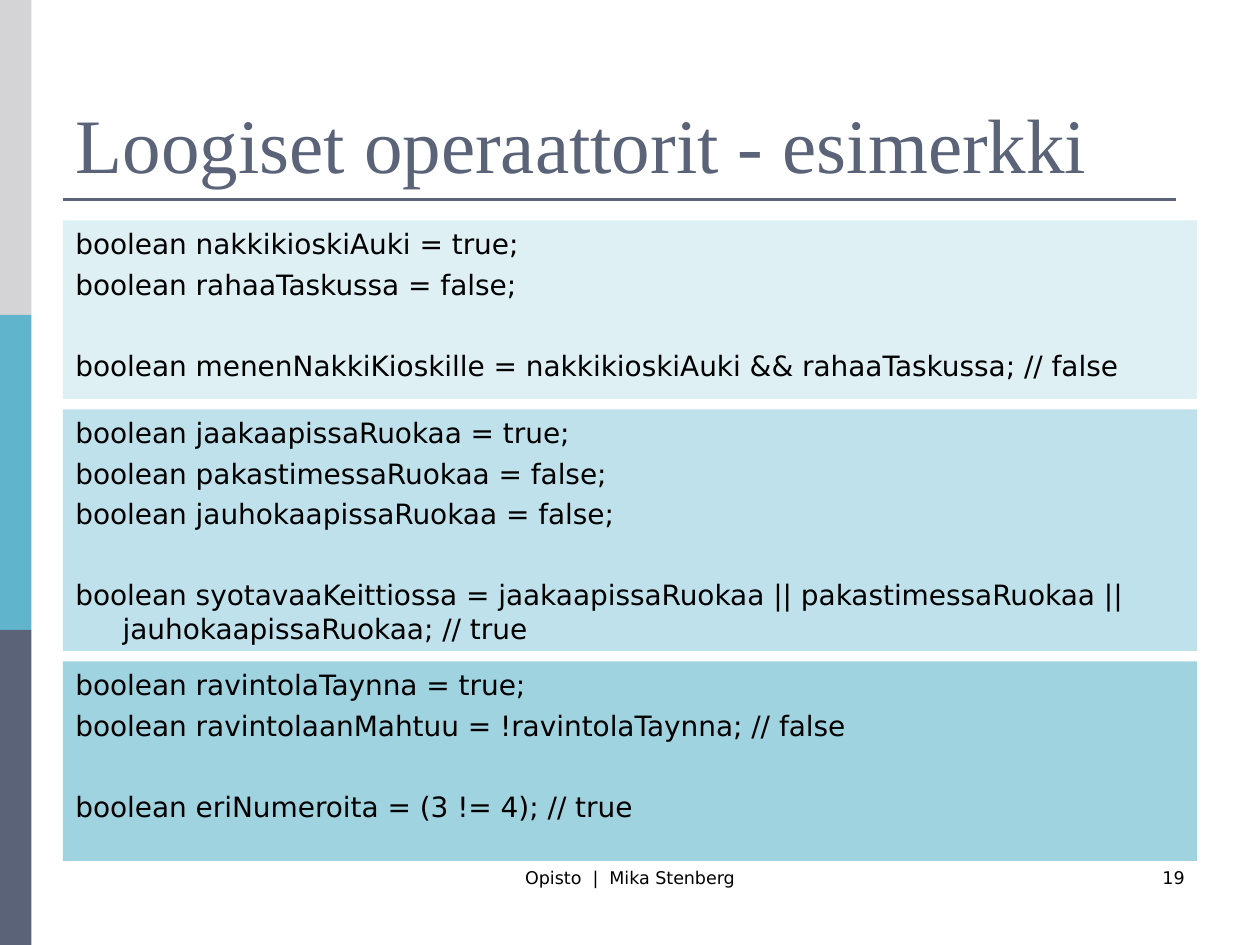
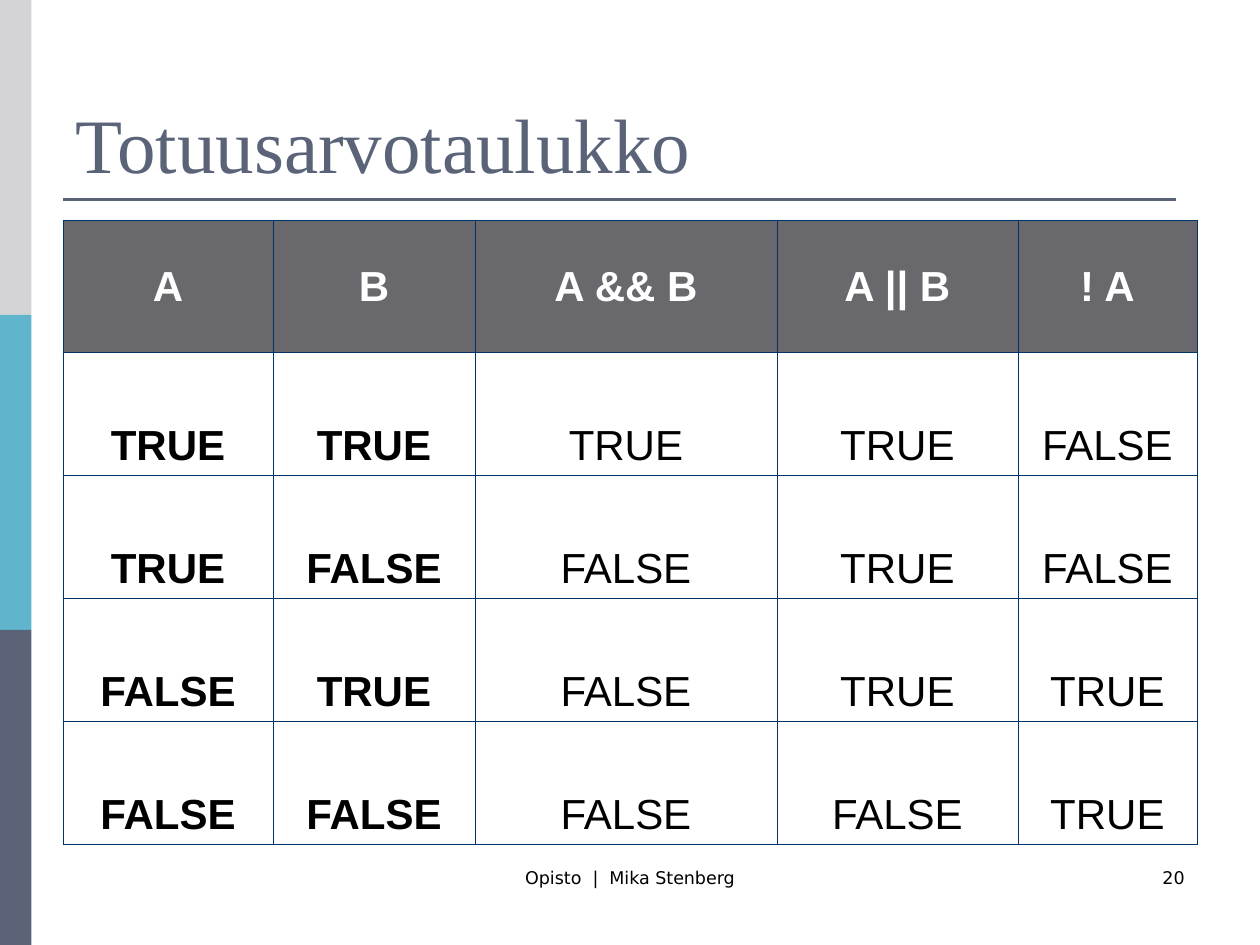
"""Builds two slides on logical operators: code examples and a truth table."""
from lxml.etree import SubElement
from pptx import Presentation
from pptx.dml.color import RGBColor
from pptx.enum.shapes import MSO_CONNECTOR, MSO_SHAPE
from pptx.enum.text import MSO_ANCHOR, MSO_AUTO_SIZE, PP_ALIGN
from pptx.oxml.ns import qn
from pptx.util import Pt

BLACK = RGBColor(0x00, 0x00, 0x00)
WHITE = RGBColor(0xFF, 0xFF, 0xFF)
SLATE = RGBColor(0x5A, 0x63, 0x78)
TEAL = RGBColor(0x60, 0xB5, 0xCC)
SILVER = RGBColor(0xD4, 0xD4, 0xD6)
HEADER_GRAY = RGBColor(0x68, 0x68, 0x6D)
BORDER_BLUE = RGBColor(0x00, 0x33, 0x66)
PALE_TEAL = RGBColor(0xDF, 0xF0, 0xF5)
LIGHT_TEAL = RGBColor(0xBF, 0xE1, 0xEB)
MID_TEAL = RGBColor(0xA0, 0xD3, 0xE0)

LEFT, WIDTH, CONTENT_TOP = 36, 648, 126
BAND_HEIGHT = 180
TITLES = ["Loogiset operaattorit - esimerkki", "Totuusarvotaulukko"]
FIRST_PAGE_NUMBER = 19


def add_block(page, left, top, width, height, color):
    block = page.shapes.add_shape(
        MSO_SHAPE.RECTANGLE, Pt(left), Pt(top), Pt(width), Pt(height))
    block.shadow.inherit = False
    block.fill.solid()
    block.fill.fore_color.rgb = color
    block.line.fill.background()
    return block


def style_paragraph(para, font_name, size, color, align, bold=False):
    para.alignment = align
    para.font.name = font_name
    para.font.size = Pt(size)
    para.font.color.rgb = color
    para.font.bold = bold


deck = Presentation()
deck.slide_width, deck.slide_height = Pt(720), Pt(540)

for number, heading in enumerate(TITLES, FIRST_PAGE_NUMBER):
    page = deck.slides.add_slide(deck.slide_layouts[5])
    for index, color in enumerate([SILVER, TEAL, SLATE]):
        add_block(page, 0, index * BAND_HEIGHT, 18, BAND_HEIGHT, color)

    rule = page.shapes.add_connector(
        MSO_CONNECTOR.STRAIGHT, Pt(LEFT), Pt(114), Pt(672), Pt(114))
    rule.line.color.rgb = SLATE
    rule.line.width = Pt(1.5)
    SubElement(rule._element.spPr, qn("a:effectLst"))

    title = page.shapes.title
    title.left, title.top, title.width, title.height = Pt(LEFT), Pt(21.6), Pt(WIDTH), Pt(90)
    title.text_frame.text = heading
    title.text_frame.auto_size = MSO_AUTO_SIZE.NONE
    title.text_frame.vertical_anchor = MSO_ANCHOR.BOTTOM
    style_paragraph(title.text_frame.paragraphs[0], "Times New Roman", 44, SLATE, PP_ALIGN.LEFT)

    for text, left, width, align in [
        ("Opisto  |  Mika Stenberg", 246, 228, PP_ALIGN.CENTER),
        (str(number), 516, 168, PP_ALIGN.RIGHT),
    ]:
        footer = page.shapes.add_textbox(Pt(left), Pt(492), Pt(width), Pt(36))
        footer.text_frame.word_wrap = True
        footer.text_frame.text = text
        style_paragraph(footer.text_frame.paragraphs[0], "DejaVu Sans", 10, BLACK, align)

example_page, table_page = deck.slides

EXAMPLES = [
    (CONTENT_TOP, 102, PALE_TEAL, [
        "boolean nakkikioskiAuki = true;",
        "boolean rahaaTaskussa = false;",
        "boolean menenNakkiKioskille = nakkikioskiAuki && rahaaTaskussa; // false",
    ]),
    (234, 138, LIGHT_TEAL, [
        "boolean jaakaapissaRuokaa = true;",
        "boolean pakastimessaRuokaa = false;",
        "boolean jauhokaapissaRuokaa = false;",
        "boolean syotavaaKeittiossa = jaakaapissaRuokaa || pakastimessaRuokaa"
        " || jauhokaapissaRuokaa; // true",
    ]),
    (378, 114, MID_TEAL, [
        "boolean ravintolaTaynna = true;",
        "boolean ravintolaanMahtuu = !ravintolaTaynna; // false",
        "boolean eriNumeroita = (3 != 4); // true",
    ]),
]
for top, height, color, code_lines in EXAMPLES:
    box = add_block(example_page, LEFT, top, WIDTH, height, color)
    box.text_frame.word_wrap = True
    box.text_frame.vertical_anchor = MSO_ANCHOR.TOP
    box.text_frame.text = "\n".join(code_lines)
    for para in box.text_frame.paragraphs:
        style_paragraph(para, "DejaVu Sans", 16, BLACK, PP_ALIGN.LEFT)
        para.space_before = Pt(4)
        properties = para._p.get_or_add_pPr()
        properties.set("marL", str(Pt(27)))
        properties.set("indent", str(Pt(-27)))
    box.text_frame.paragraphs[-1].space_before = Pt(27)

TRUTH_ROWS = [
    ["A", "B", "A && B", "A || B", "! A"],
    ["TRUE", "TRUE", "TRUE", "TRUE", "FALSE"],
    ["TRUE", "FALSE", "FALSE", "TRUE", "FALSE"],
    ["FALSE", "TRUE", "FALSE", "TRUE", "TRUE"],
    ["FALSE", "FALSE", "FALSE", "FALSE", "TRUE"],
]
COLUMN_WIDTHS = [120, 115.4, 172.6, 137.7, 102.3]
ROW_HEIGHTS = [75.4] + [70.3] * 4

truth_table = table_page.shapes.add_table(
    len(TRUTH_ROWS), len(COLUMN_WIDTHS),
    Pt(LEFT), Pt(CONTENT_TOP), Pt(WIDTH), Pt(sum(ROW_HEIGHTS))).table
truth_table.first_row = truth_table.horz_banding = False
for column, width in zip(truth_table.columns, COLUMN_WIDTHS):
    column.width = Pt(width)
for row_index, values in enumerate(TRUTH_ROWS):
    truth_table.rows[row_index].height = Pt(ROW_HEIGHTS[row_index])
    is_header = row_index == 0
    for column_index, value in enumerate(values):
        cell = truth_table.cell(row_index, column_index)
        cell.text = value
        cell.vertical_anchor = MSO_ANCHOR.MIDDLE if is_header else MSO_ANCHOR.BOTTOM
        style_paragraph(
            cell.text_frame.paragraphs[0], "Arial", 24, WHITE if is_header else BLACK,
            PP_ALIGN.CENTER, is_header or column_index < 2)
        cell_properties = cell._tc.get_or_add_tcPr()
        for side in ["lnL", "lnR", "lnT", "lnB"]:
            border = SubElement(cell_properties, qn(f"a:{side}"), w=str(Pt(0.45)))
            border_fill = SubElement(border, qn("a:solidFill"))
            SubElement(border_fill, qn("a:srgbClr"), val=str(BORDER_BLUE))
        if is_header:
            cell.fill.solid()
            cell.fill.fore_color.rgb = HEADER_GRAY
        else:
            cell.fill.background()

deck.save("out.pptx")
